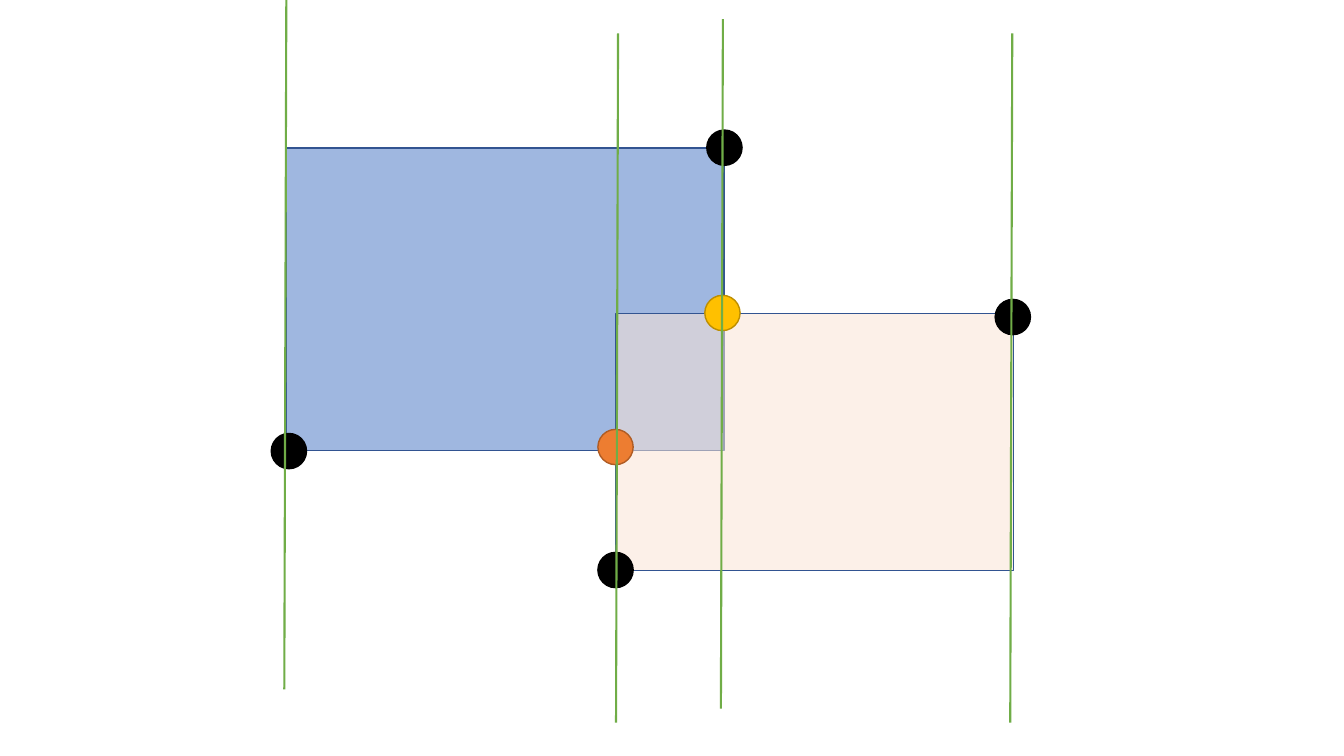
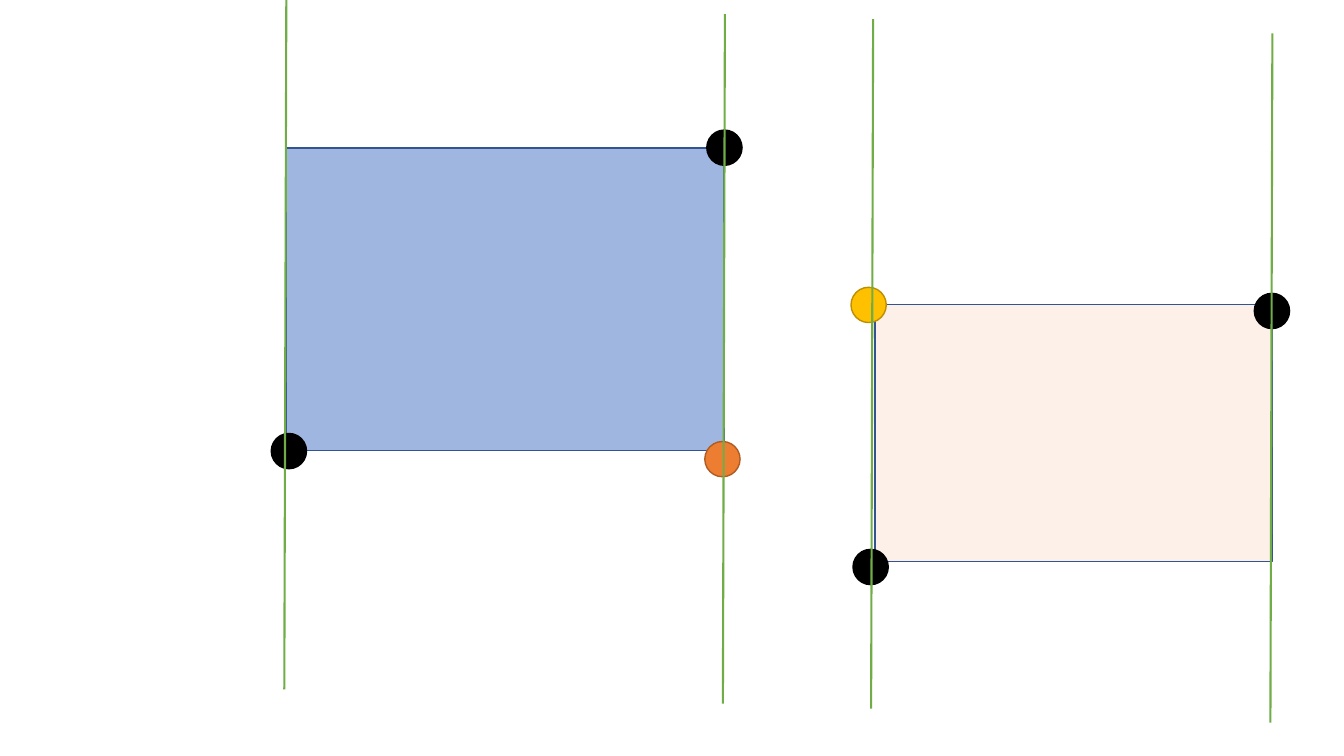
from lxml import etree
from pptx import Presentation
from pptx.dml.color import RGBColor
from pptx.enum.shapes import MSO_CONNECTOR as Connector, MSO_SHAPE as Shape
from pptx.oxml.ns import qn
from pptx.util import Inches, Pt

COLOURS = {
    "blue": "4472C4", "peach": "FBE5D6", "outline": "325491",
    "black": "000000", "orange": "ED7D31", "orange_edge": "AF5C24",
    "gold": "FFC000", "gold_edge": "BD8E00", "green": "70AD47",
}

# Styles: fill, outline, opacity in percent
BOX_STYLES = {"first": ("blue", "outline", 51), "second": ("peach", "outline", 54)}
DOT_STYLES = {
    "corner": ("black", "black", 100),
    "lower": ("orange", "orange_edge", 100),
    "upper": ("gold", "gold_edge", 100),
}
BOX_SIZES = {"first": (4.34, 3), "second": (3.94, 2.55)}
DOT_SIZE = (0.35, 0.35)
SWEEP_HEIGHT, SWEEP_LEAN = 6.84, 0.02

# Left and top of each box and dot; top end of each sweep line
FIRST_BOX = ("first", 2.84, 1.47)
FIRST_DOTS = [("corner", 2.69, 4.3), ("corner", 7.01, 1.29)]
FIRST_SWEEP = (2.84, 0)
SLIDES = [
    {  # overlapping boxes
        "boxes": [FIRST_BOX, ("second", 6.11, 3.11)],
        "dots": FIRST_DOTS + [("corner", 5.93, 5.48), ("corner", 9.87, 2.97),
                              ("lower", 5.93, 4.26), ("upper", 6.99, 2.93)],
        "sweeps": [FIRST_SWEEP, (7.17, 0.19), (6.13, 0.33), (10.04, 0.33)],
    },
    {  # separate boxes
        "boxes": [FIRST_BOX, ("second", 8.68, 3.02)],
        "dots": FIRST_DOTS + [("corner", 8.46, 5.45), ("corner", 12.44, 2.91),
                              ("lower", 6.99, 4.38), ("upper", 8.44, 2.85)],
        "sweeps": [FIRST_SWEEP, (7.19, 0.14), (8.66, 0.19), (12.62, 0.33)],
    },
]


def colour(name):
    return RGBColor.from_string(COLOURS[name])


def set_line(line, name, width):
    for key, value in {"color.rgb": colour(name), "width": Pt(width)}.items():
        target = line.color if key == "color.rgb" else line
        setattr(target, key.split(".")[-1], value)


def add_filled(slide, kind, place, size, style):
    fill, edge, opacity = style
    shape = slide.shapes.add_shape(kind, *map(Inches, place + size))
    shape.shadow.inherit = False
    shape.fill.solid()
    shape.fill.fore_color.rgb = colour(fill)
    if opacity < 100:
        rgb = shape.fill._xPr.find(qn("a:solidFill")).find(qn("a:srgbClr"))
        etree.SubElement(rgb, qn("a:alpha")).set("val", str(opacity * 1000))
    set_line(shape.line, edge, 1)


def add_sweep(slide, x, y):
    ends = (x, y, x - SWEEP_LEAN, y + SWEEP_HEIGHT)
    sweep = slide.shapes.add_connector(Connector.STRAIGHT, *map(Inches, ends))
    set_line(sweep.line, "green", 1.5)
    etree.SubElement(sweep._element.spPr, qn("a:effectLst"))


presentation = Presentation()
presentation.slide_width, presentation.slide_height = Inches(13.33), Inches(7.5)
for content in SLIDES:
    slide = presentation.slides.add_slide(presentation.slide_layouts[6])
    for name, *place in content["boxes"]:
        add_filled(slide, Shape.RECTANGLE, tuple(place), BOX_SIZES[name], BOX_STYLES[name])
    for name, *place in content["dots"]:
        add_filled(slide, Shape.OVAL, tuple(place), DOT_SIZE, DOT_STYLES[name])
    for x, y in content["sweeps"]:
        add_sweep(slide, x, y)
presentation.save("out.pptx")
